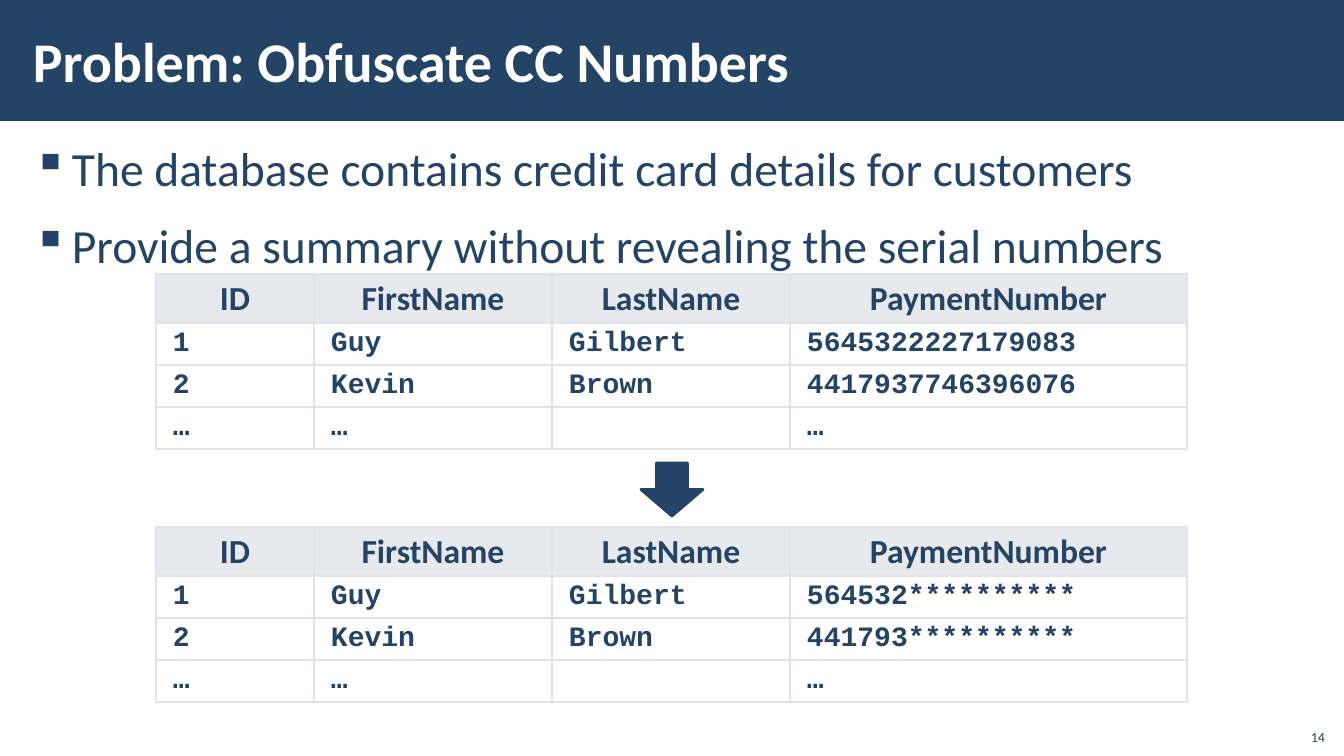
from lxml import etree
from pptx import Presentation
from pptx import util as u
from pptx.dml.color import RGBColor
from pptx.enum import shapes, text
from pptx.oxml import ns

# Content
TITLE = "Problem: Obfuscate CC Numbers"
BULLETS = [
    "The database contains credit card details for customers",
    "Provide a summary without revealing the serial numbers",
]
PAGE_NUMBER = "14"
HEADER = ["ID", "FirstName", "LastName", "PaymentNumber"]
CUSTOMERS = [
    ("1", "Guy", "Gilbert", "5645322227179083"),
    ("2", "Kevin", "Brown", "4417937746396076"),
    ("…", "…", "", "…"),
]
VISIBLE_DIGITS = 6

# Style and layout, lengths in px
COLORS = {"navy": "234465", "white": "FFFFFF", "header": "D1D5DD", "border": "E0E3E9"}
BODY_FONT, CODE_FONT = "Calibri", "Courier New"
PAGE_WIDTH, PAGE_HEIGHT = 1344, 756
COLUMNS = [158, 238, 238, 397]
ROWS = [49, 42, 42, 42]
TABLE_LEFT = (PAGE_WIDTH - sum(COLUMNS)) // 2
TABLE_TOPS = [274, 527]
ARROW_WIDTH, ARROW_HEIGHT, ARROW_TOP = 62, 53, 463
BULLET_INDENT = 39
EMU_PER_PX = 914400 / 100.8


def px(length):
    return u.Emu(round(length * EMU_PER_PX))


def rgb(name):
    return RGBColor.from_string(COLORS[name])


def set_insets(target, side, top):
    target.margin_left = target.margin_right = px(side)
    target.margin_top = target.margin_bottom = px(top)


def add_span(para, words, size, color="navy", font=BODY_FONT, bold=False):
    span = para.add_run()
    span.text = words
    span.font.name, span.font.size, span.font.bold = font, u.Pt(size), bold
    span.font.color.rgb = rgb(color)


def add_box(page, left, top, width, height, anchor):
    frame = page.shapes.add_textbox(px(left), px(top), px(width), px(height)).text_frame
    frame.word_wrap = True
    frame.vertical_anchor = anchor
    set_insets(frame, 12, 4)
    return frame


def add_solid(parent, color, alpha=100):
    fill = etree.SubElement(parent, ns.qn("a:solidFill"))
    tint = etree.SubElement(fill, ns.qn("a:srgbClr"), val=COLORS[color])
    if alpha < 100:
        etree.SubElement(tint, ns.qn("a:alpha"), val=str(alpha * 1000))


def style_cell(cell, color, alpha):
    set_insets(cell, 17, 5)
    properties = cell._tc.get_or_add_tcPr()
    for side in ("lnL", "lnR", "lnT", "lnB"):
        line = etree.SubElement(properties, ns.qn("a:" + side), w=str(u.Pt(2.25)))
        add_solid(line, "border")
    add_solid(properties, color, alpha)


def add_customer_table(page, top, records):
    frame = page.shapes.add_table(len(ROWS), len(COLUMNS), px(TABLE_LEFT), px(top),
                                  px(sum(COLUMNS)), px(sum(ROWS)))
    table = frame.table
    for column, width in zip(table.columns, COLUMNS):
        column.width = px(width)
    for row, height in zip(table.rows, ROWS):
        row.height = px(height)
    for r, record in enumerate([HEADER, *records]):
        for c, words in enumerate(record):
            cell = table.cell(r, c)
            para = cell.text_frame.paragraphs[0]
            para.line_spacing = 0.95
            if r == 0:
                style_cell(cell, "header", 50)
                para.alignment = text.PP_ALIGN.CENTER
                add_span(para, words, 24, bold=True)
            else:
                style_cell(cell, "white", 20)
                if words:
                    add_span(para, words, 20, font=CODE_FONT, bold=True)


def add_filled(page, kind, left, top, width, height):
    shape = page.shapes.add_shape(kind, px(left), px(top), px(width), px(height))
    shape.shadow.inherit = False
    shape.fill.solid()
    shape.fill.fore_color.rgb = rgb("navy")
    return shape


def mask(record):
    *names, number = record
    return (*names, number[:VISIBLE_DIGITS] + "*" * len(number[VISIBLE_DIGITS:]))


def main():
    deck = Presentation()
    deck.slide_width, deck.slide_height = px(PAGE_WIDTH), px(PAGE_HEIGHT)
    page = deck.slides.add_slide(deck.slide_layouts[6])

    # Title band
    band = add_filled(page, shapes.MSO_SHAPE.RECTANGLE, 0, 0, PAGE_WIDTH, 121)
    band.line.fill.background()

    # Bullets
    body = add_box(page, 21, 132, 1302, 610, text.MSO_ANCHOR.TOP)
    for i, words in enumerate(BULLETS):
        para = body.add_paragraph() if i else body.paragraphs[0]
        para.line_spacing = 1.05
        para.space_before = para.space_after = u.Pt(6)
        properties = para._p.get_or_add_pPr()
        properties.set("marL", str(px(BULLET_INDENT)))
        properties.set("indent", str(-px(BULLET_INDENT)))
        etree.SubElement(properties, ns.qn("a:buChar"), char="▪")
        add_span(para, words, 34)

    # Title
    title = add_box(page, 21, 11, 1072, 98, text.MSO_ANCHOR.MIDDLE)
    add_span(title.paragraphs[0], TITLE, 40, "white", bold=True)

    # Tables before and after masking
    masked = [mask(record) for record in CUSTOMERS]
    for top, records in zip(TABLE_TOPS, (CUSTOMERS, masked)):
        add_customer_table(page, top, records)

    # Arrow between the tables
    arrow = add_filled(page, shapes.MSO_SHAPE.DOWN_ARROW, (PAGE_WIDTH - ARROW_WIDTH) // 2,
                       ARROW_TOP, ARROW_WIDTH, ARROW_HEIGHT)
    arrow.line.color.rgb = rgb("navy")
    arrow.line.width = u.Pt(2)

    # Page number
    number = add_box(page, 1295, 718, 40, 32, text.MSO_ANCHOR.BOTTOM)
    set_insets(number, 10, 5)
    number.paragraphs[0].alignment = text.PP_ALIGN.RIGHT
    add_span(number.paragraphs[0], PAGE_NUMBER, 10)

    deck.save("out.pptx")


if __name__ == "__main__":
    main()
